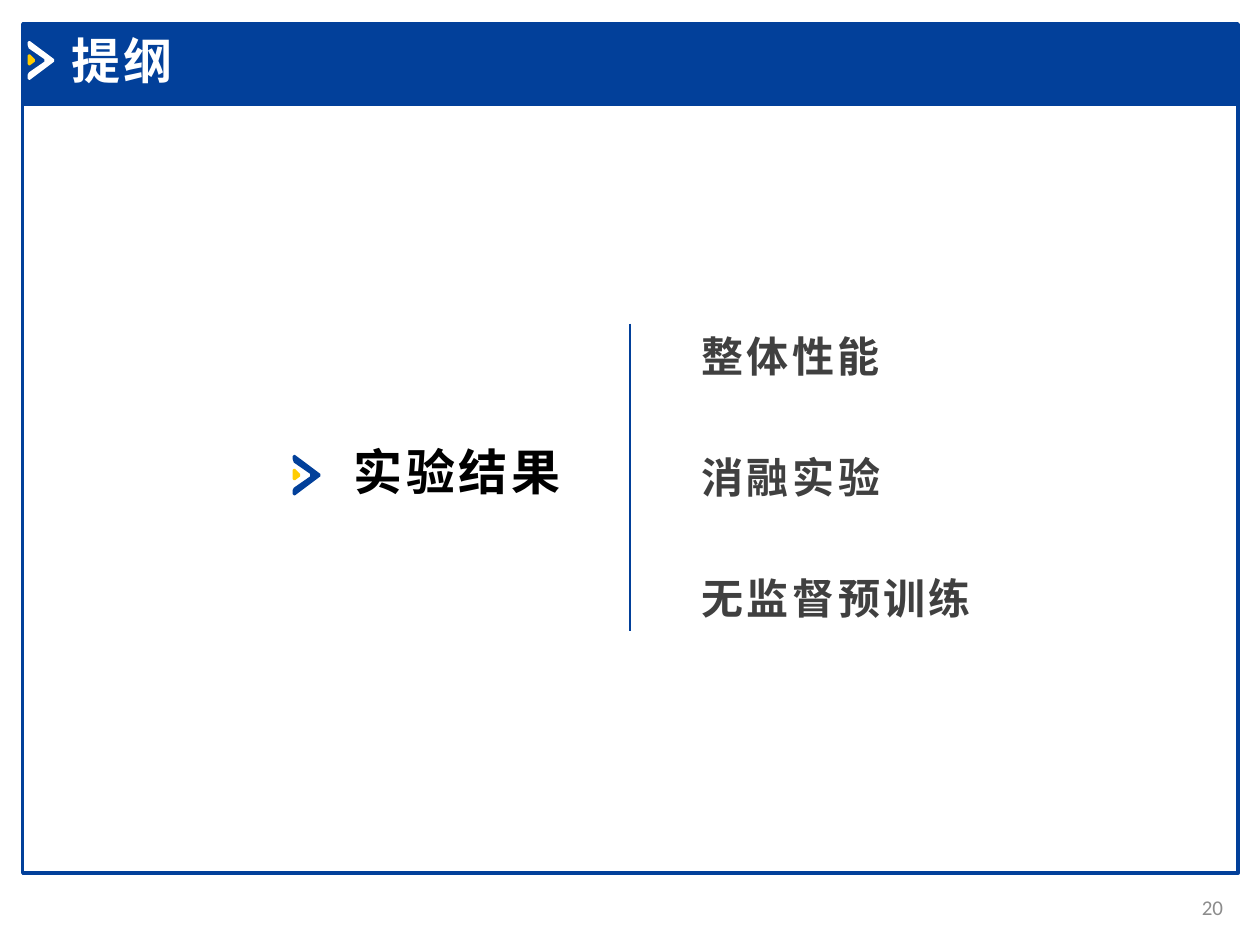
from lxml import etree
from pptx import Presentation
from pptx.dml.color import RGBColor
from pptx.enum.shapes import MSO_CONNECTOR, MSO_SHAPE
from pptx.enum.text import MSO_ANCHOR, PP_ALIGN
from pptx.oxml.ns import qn
from pptx.util import Pt

RECTANGLE = MSO_SHAPE.RECTANGLE
STRAIGHT = MSO_CONNECTOR.STRAIGHT
MIDDLE = MSO_ANCHOR.MIDDLE
LEFT, RIGHT = PP_ALIGN.LEFT, PP_ALIGN.RIGHT
LATIN_FONT, CHINESE_FONT = "Calibri", "Noto Sans CJK SC"
COLORS = {
    "blue": "02409A",
    "yellow": "FFCC00",
    "white": "FFFFFF",
    "black": "000000",
    "topic": "404040",
    "number": "8C8C8C",
}
CHEVRON = [(0, 1), (1, 0), (2, 0), (22, 15), (22, 17), (2, 32), (1, 32),
           (0, 31), (0, 28), (1, 26), (14, 17), (14, 15), (1, 6), (0, 3)]
WEDGE = [(0, 12), (1, 11), (2, 11), (6, 15), (6, 17), (2, 20), (1, 20), (0, 19)]
TOPICS = [("整体性能", 186), ("消融实验", 218), ("无监督预训练", 218)]


def color(name):
    """Return the named colour."""
    return RGBColor.from_string(COLORS[name])


def add_text(slide, text, left, top, width, height, *, size, ink, bold=True,
             font=CHINESE_FONT, align=LEFT, spacing=2):
    """Add one line of text, centred vertically in its box."""
    box = slide.shapes.add_textbox(Pt(left), Pt(top), Pt(width), Pt(height))
    frame = box.text_frame
    frame.word_wrap = True
    frame.vertical_anchor = MIDDLE
    paragraph = frame.paragraphs[0]
    paragraph.alignment = align
    paragraph.line_spacing = 0.9
    run = paragraph.add_run()
    run.text = text
    run.font.size = Pt(size)
    run.font.bold = bold
    run.font.name = font
    run.font.color.rgb = color(ink)
    properties = run.font._element
    properties.set("spc", str(spacing * 100))
    east_asian = etree.Element(qn("a:ea"), typeface=CHINESE_FONT)
    properties.find(qn("a:latin")).addnext(east_asian)


def add_panel(slide, top, height, fill=None):
    """Add a full-width panel with a blue border."""
    panel = slide.shapes.add_shape(RECTANGLE, Pt(13), Pt(top), Pt(694.5), Pt(height))
    panel.shadow.inherit = False
    panel.line.color.rgb = color("blue")
    panel.line.width = Pt(2)
    if fill:
        panel.fill.solid()
        panel.fill.fore_color.rgb = color(fill)
    else:
        panel.fill.background()


def add_outline(slide, points, left, top, unit, fill):
    """Add a filled polygon whose points are counted in units."""
    builder = slide.shapes.build_freeform(*points[0], scale=Pt(unit))
    builder.add_line_segments(points[1:], close=True)
    outline = builder.convert_to_shape(Pt(left), Pt(top))
    outline.shadow.inherit = False
    outline.fill.solid()
    outline.fill.fore_color.rgb = color(fill)
    outline.line.fill.background()


def add_marker(slide, left, top, unit, fill):
    """Add a chevron with a yellow wedge inside it."""
    add_outline(slide, CHEVRON, left, top, unit, fill)
    add_outline(slide, WEDGE, left, top, unit, "yellow")


def add_divider(slide, x, top, bottom):
    """Add a thin vertical blue line."""
    divider = slide.shapes.add_connector(STRAIGHT, Pt(x), Pt(top), Pt(x), Pt(bottom))
    divider.line.color.rgb = color("blue")
    divider.line.width = Pt(1.5)
    etree.SubElement(divider._element.spPr, qn("a:effectLst"))


def main():
    """Build and save the outline slide."""
    deck = Presentation()
    deck.slide_width, deck.slide_height = Pt(720), Pt(540)
    slide = deck.slides.add_slide(deck.slide_layouts[6])

    add_panel(slide, 59.7, 439.3)
    add_panel(slide, 13.7, 46, fill="blue")
    add_marker(slide, 15.8, 23.5, 0.69, "white")
    add_text(slide, "20", 664, 505, 42, 28.8, size=12, ink="number",
             bold=False, font=LATIN_FONT, align=RIGHT, spacing=0)
    add_text(slide, "提纲", 33.8, 15.8, 256, 41, size=28, ink="white", font=LATIN_FONT)

    add_marker(slide, 167.2, 260, 0.72, "blue")
    add_text(slide, "实验结果", 195.1, 250.6, 170, 41, size=28, ink="black")
    add_divider(slide, 360, 185, 360.7)
    for row, (topic, width) in enumerate(TOPICS):
        add_text(slide, topic, 393.8, 187.2 + 69.2 * row, width, 36, size=24, ink="topic")

    deck.save("out.pptx")


if __name__ == "__main__":
    main()
